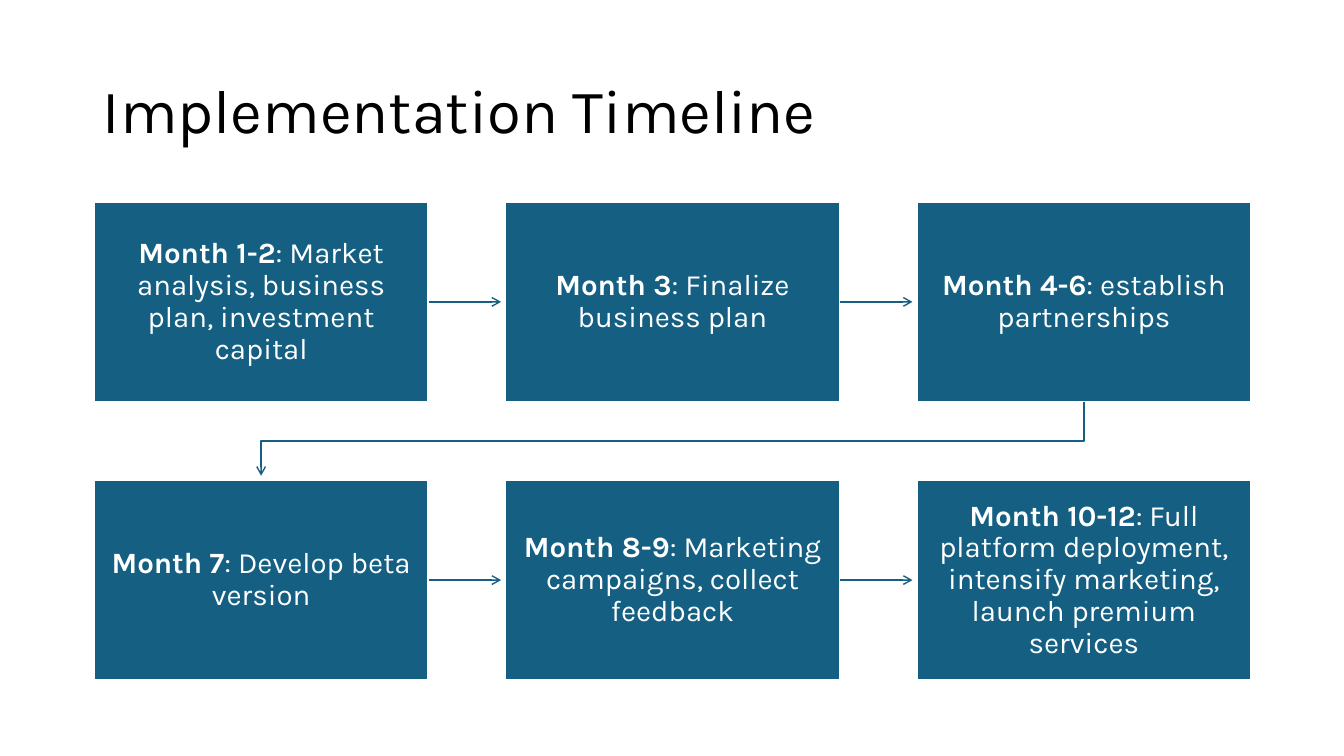
import pptx
import pptx.util
import pptx.dml.color
import pptx.enum.shapes
import pptx.enum.text
import pptx.oxml.ns
from lxml import etree

Inches, Pt = pptx.util.Inches, pptx.util.Pt
FONT, BLUE, WHITE, BLACK = "Karla", "156082", "FFFFFF", "000000"

# Grid of boxes, in inches
LEFT, TOP = 0.93, 2.0
WIDE, HIGH = 3.32, 1.99
STEP_X, STEP_Y = 4.08, 2.76
COLS = 3
GAP = 0.04  # space between an arrow tip and the next box

STEPS = [
    ("Month 1-2", ": Market analysis, business plan, investment capital"),
    ("Month 3", ": Finalize business plan"),
    ("Month 4-6", ": establish partnerships"),
    ("Month 7", ": Develop beta version"),
    ("Month 8-9", ": Marketing campaigns, collect feedback"),
    ("Month 10-12", ": Full platform deployment, intensify marketing, "
                    "launch premium services"),
]


def color(code):
    return pptx.dml.color.RGBColor.from_string(code)


def spot(num):
    """Left and top of a box, from its place in the grid."""
    row, col = divmod(num, COLS)
    return LEFT + col * STEP_X, TOP + row * STEP_Y


def style(run, size, code, bold=False):
    run.font.name = FONT
    run.font.size = Pt(size)
    run.font.bold = bold
    run.font.color.rgb = color(code)


def add_title(slide, text):
    title = slide.shapes.title
    title.left, title.top = Inches(0.92), Inches(0.4)
    title.width, title.height = Inches(11.5), Inches(1.45)
    frame = title.text_frame
    frame.text = text
    frame.word_wrap = True
    frame.auto_size = pptx.enum.text.MSO_AUTO_SIZE.NONE
    frame.vertical_anchor = pptx.enum.text.MSO_ANCHOR.MIDDLE
    para = frame.paragraphs[0]
    para.alignment = pptx.enum.text.PP_ALIGN.LEFT
    para.line_spacing = 0.9
    style(para.runs[0], 44, BLACK)


def add_box(slide, num, month, task):
    x, y = spot(num)
    box = slide.shapes.add_shape(
        pptx.enum.shapes.MSO_SHAPE.RECTANGLE,
        Inches(x), Inches(y), Inches(WIDE), Inches(HIGH))
    box.shadow.inherit = False
    box.fill.solid()
    box.fill.fore_color.rgb = color(BLUE)
    box.line.color.rgb = color(WHITE)
    box.line.width = Pt(1.5)
    frame = box.text_frame
    frame.word_wrap = True
    frame.vertical_anchor = pptx.enum.text.MSO_ANCHOR.MIDDLE
    frame.margin_left = frame.margin_right = Inches(0.16)
    frame.margin_top = frame.margin_bottom = Inches(0.17)
    para = frame.paragraphs[0]
    para.alignment = pptx.enum.text.PP_ALIGN.CENTER
    para.line_spacing = 0.9
    for text, bold in ((month, True), (task, False)):
        run = para.add_run()
        run.text = text
        style(run, 21, WHITE, bold)
    return box


def add_tip(shape):
    """Thin blue line with an open arrowhead at its end."""
    shape.line.color.rgb = color(BLUE)
    shape.line.width = Pt(1)
    line = shape.line._get_or_add_ln()
    etree.SubElement(line, pptx.oxml.ns.qn("a:tailEnd"), type="arrow")


def add_arrow(slide, box, num):
    x, y = spot(num)
    mid = Inches(y + HIGH / 2)
    arrow = slide.shapes.add_connector(
        pptx.enum.shapes.MSO_CONNECTOR.STRAIGHT,
        Inches(x + WIDE), mid, Inches(x + STEP_X - GAP), mid)
    arrow.begin_connect(box, 3)
    add_tip(arrow)
    etree.SubElement(arrow._element.spPr, pptx.oxml.ns.qn("a:effectLst"))


def add_turn(slide, num):
    """Bent arrow from the end of one row to the start of the next."""
    x, y = spot(num)
    start, base = x + WIDE / 2, y + HIGH
    goal, low = LEFT + WIDE / 2, y + STEP_Y - GAP
    bend = base + (STEP_Y - HIGH) / 2
    path = slide.shapes.build_freeform(
        Inches(start), Inches(base), scale=1.0)
    path.add_line_segments(
        [(Inches(a), Inches(b))
         for a, b in ((start, bend), (goal, bend), (goal, low))],
        close=False)
    turn = path.convert_to_shape()
    turn.shadow.inherit = False
    turn.fill.background()
    add_tip(turn)


def main():
    deck = pptx.Presentation()
    deck.slide_width, deck.slide_height = Inches(13.33), Inches(7.5)
    slide = deck.slides.add_slide(deck.slide_layouts[5])
    add_title(slide, "Implementation Timeline")

    # Boxes, then the arrow that leaves each one but the last
    for num, (month, task) in enumerate(STEPS):
        box = add_box(slide, num, month, task)
        if (num + 1) % COLS:
            add_arrow(slide, box, num)
        elif num + 1 < len(STEPS):
            add_turn(slide, num)

    deck.save("out.pptx")


if __name__ == "__main__":
    main()
